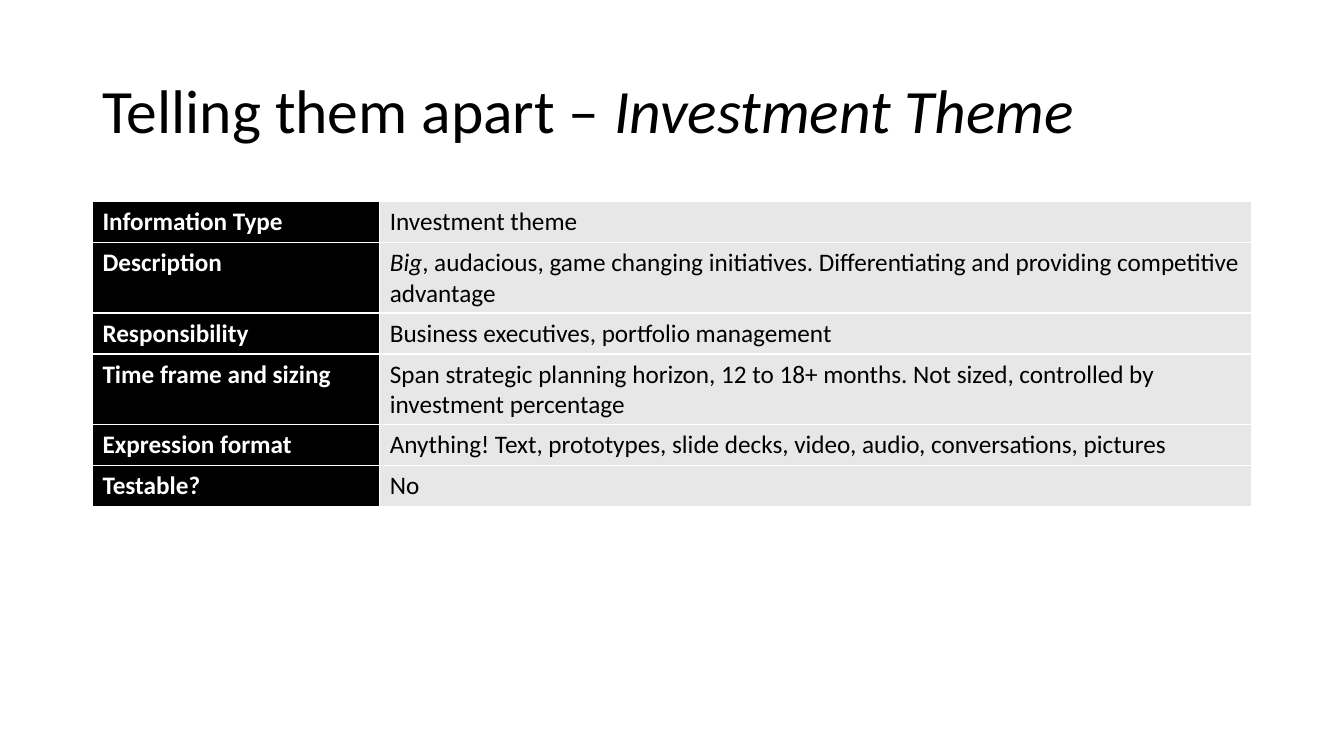
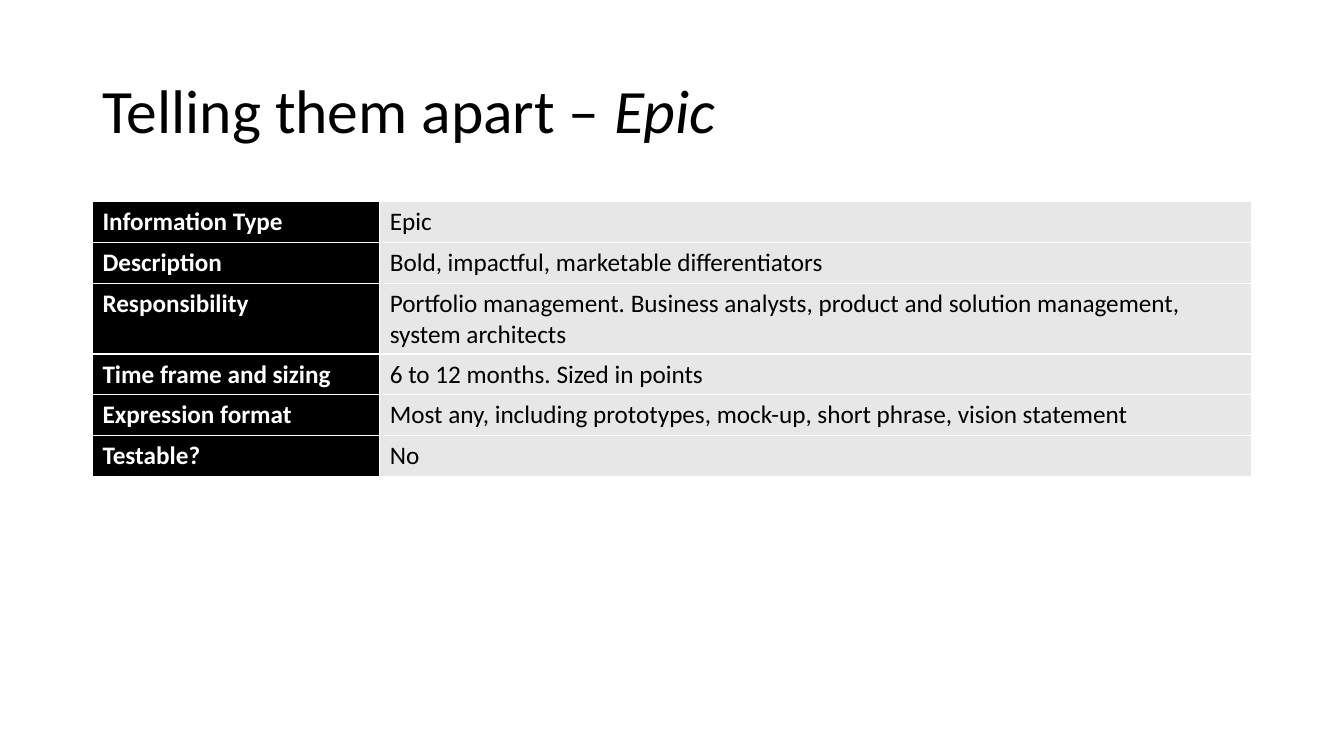
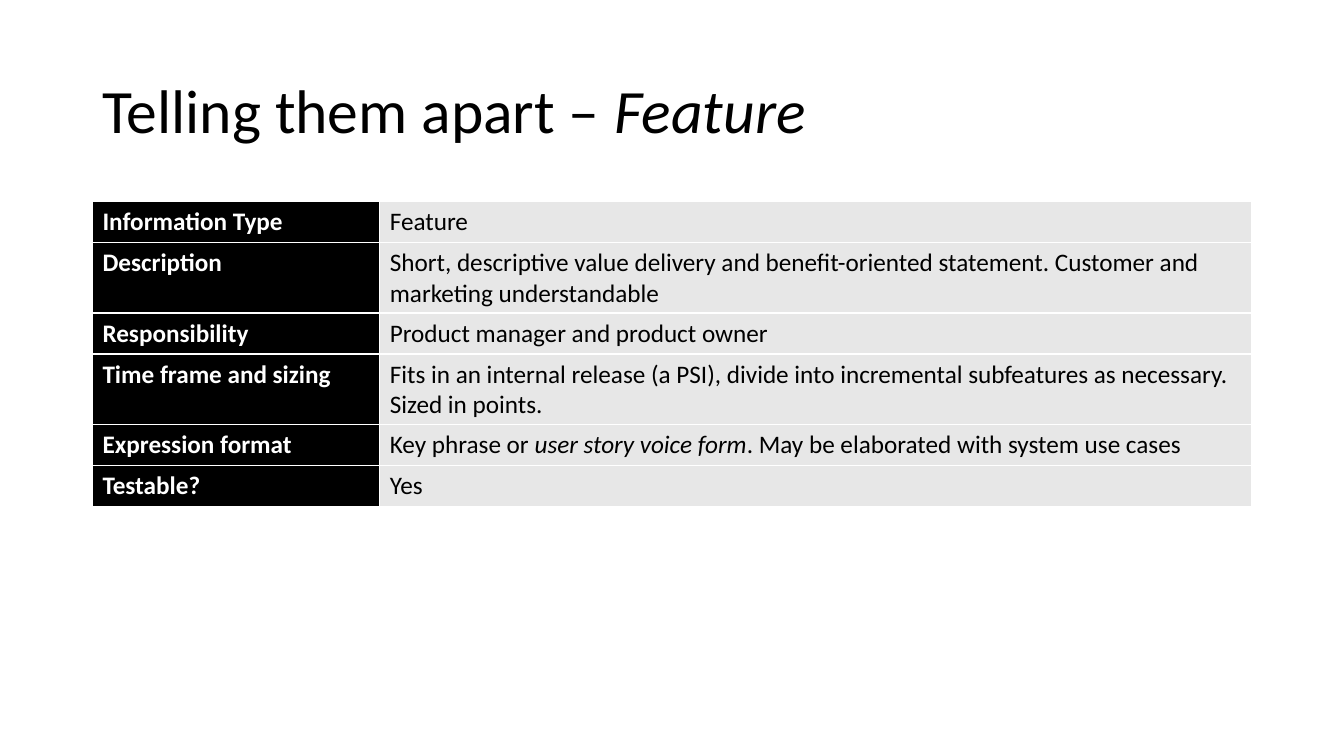
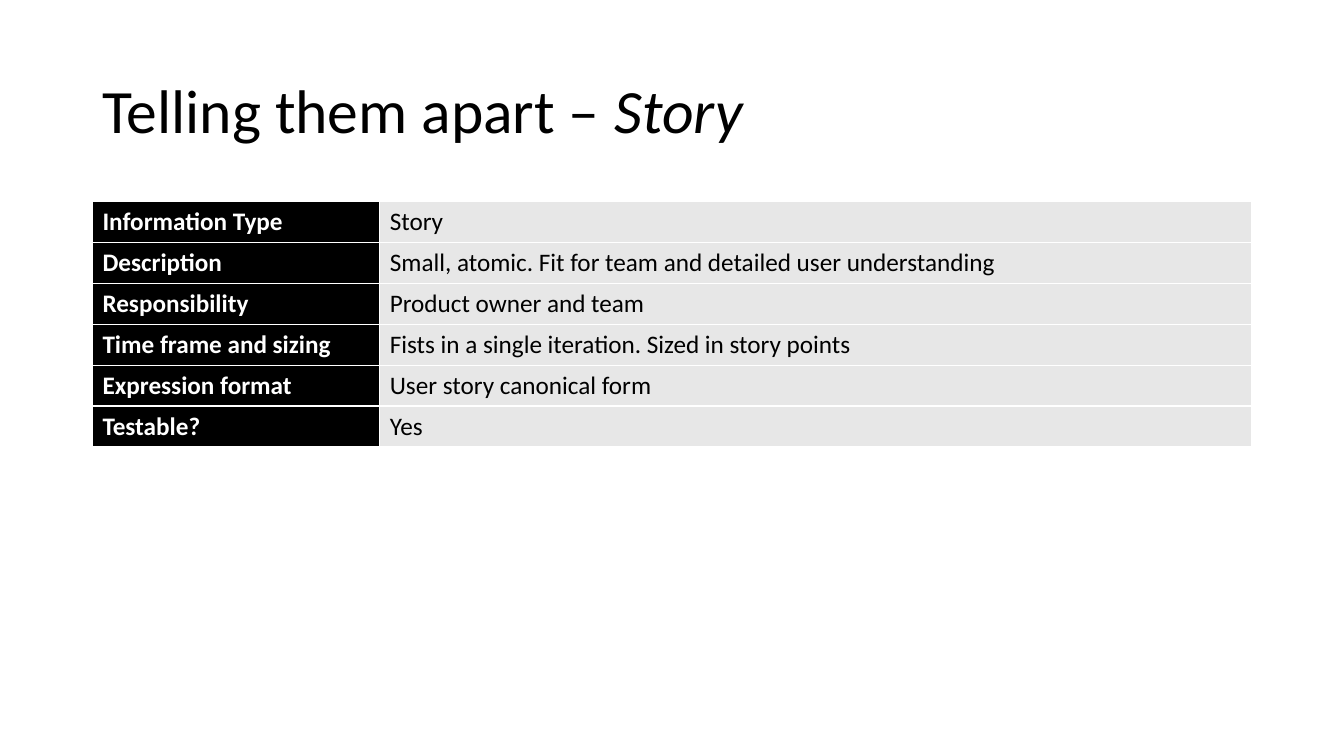
from dataclasses import dataclass

from lxml import etree
from pptx import Presentation
from pptx.dml.color import RGBColor
from pptx.enum.text import MSO_ANCHOR
from pptx.oxml.ns import qn
from pptx.slide import Slide
from pptx.table import _Cell
from pptx.text.text import _Paragraph
from pptx.util import Cm, Pt

MIDDLE = MSO_ANCHOR.MIDDLE
BLANK_LAYOUT = 6


@dataclass(frozen=True)
class Theme:
    font: str = "Calibri"
    title_size: Pt = Pt(44)
    body_size: Pt = Pt(18)
    text: RGBColor = RGBColor(0x00, 0x00, 0x00)
    label_text: RGBColor = RGBColor(0xFF, 0xFF, 0xFF)
    label_fill: RGBColor = RGBColor(0x00, 0x00, 0x00)
    value_fill: RGBColor = RGBColor(0xE7, 0xE7, 0xE7)
    border: RGBColor = RGBColor(0xFF, 0xFF, 0xFF)
    border_width: Pt = Pt(1)


@dataclass(frozen=True)
class Span:
    text: str
    italic: bool = False


@dataclass(frozen=True)
class InfoType:
    """One kind of information; values follow the order of LABELS."""
    name: str
    values: tuple[tuple[Span, ...], ...]


THEME = Theme()
LEFT = Cm(2.33)
TITLE_TOP, TITLE_HEIGHT = Cm(1.01), Cm(3.68)
TABLE_TOP, ROW_HEIGHT = Cm(5.08), Cm(1.03)
COLUMN_WIDTHS = (Cm(7.24), Cm(21.97))
CONTENT_WIDTH = sum(COLUMN_WIDTHS)

LABELS = (
    "Information Type",
    "Description",
    "Responsibility",
    "Time frame and sizing",
    "Expression format",
    "Testable?",
)

INFO_TYPES = (
    InfoType("Investment Theme", (
        (Span("Investment theme"),),
        (Span("Big", italic=True),
         Span(", audacious, game changing initiatives. "
              "Differentiating and providing competitive advantage")),
        (Span("Business executives, portfolio management"),),
        (Span("Span strategic planning horizon, 12 to 18+ months. "
              "Not sized, controlled by investment percentage"),),
        (Span("Anything! Text, prototypes, slide decks, video, audio, "
              "conversations, pictures"),),
        (Span("No"),),
    )),
    InfoType("Epic", (
        (Span("Epic"),),
        (Span("Bold, impactful, marketable differentiators"),),
        (Span("Portfolio management. Business analysts, product and "
              "solution management, system architects"),),
        (Span("6 to 12 months. Sized in points"),),
        (Span("Most any, including prototypes, mock-up, short phrase, "
              "vision statement"),),
        (Span("No"),),
    )),
    InfoType("Feature", (
        (Span("Feature"),),
        (Span("Short, descriptive value delivery and benefit-oriented "
              "statement. Customer and marketing understandable"),),
        (Span("Product manager and product owner"),),
        (Span("Fits in an internal release (a PSI), divide into incremental "
              "subfeatures as necessary. Sized in points."),),
        (Span("Key phrase or "),
         Span("user story voice form", italic=True),
         Span(". May be elaborated with system use cases")),
        (Span("Yes"),),
    )),
    InfoType("Story", (
        (Span("Story"),),
        (Span("Small, atomic. Fit for team and detailed user understanding"),),
        (Span("Product owner and team"),),
        (Span("Fists in a single iteration. Sized in story points"),),
        (Span("User story canonical form"),),
        (Span("Yes"),),
    )),
)


def add_runs(p: _Paragraph, spans: tuple[Span, ...], size: Pt,
             color: RGBColor, bold: bool = False) -> None:
    for span in spans:
        r = p.add_run()
        r.text = span.text
        r.font.name = THEME.font
        r.font.size = size
        r.font.color.rgb = color
        r.font.bold = bold
        r.font.italic = span.italic


def add_title(s: Slide, name: str) -> None:
    sp = s.shapes.add_textbox(LEFT, TITLE_TOP, CONTENT_WIDTH, TITLE_HEIGHT)
    tf = sp.text_frame
    tf.word_wrap = True
    tf.vertical_anchor = MIDDLE
    p = tf.paragraphs[0]
    p.line_spacing = 0.9
    spans = (Span("Telling them apart – "), Span(name, italic=True))
    add_runs(p, spans, THEME.title_size, THEME.text)


def add_borders(cell: _Cell) -> None:
    """Line all four sides; call before filling, as the schema puts lines first."""
    tc_pr = cell._tc.get_or_add_tcPr()
    for side in ("a:lnL", "a:lnR", "a:lnT", "a:lnB"):
        ln = etree.SubElement(tc_pr, qn(side), w=str(THEME.border_width))
        fill = etree.SubElement(ln, qn("a:solidFill"))
        etree.SubElement(fill, qn("a:srgbClr"), val=str(THEME.border))


def style_cell(cell: _Cell, fill: RGBColor) -> None:
    add_borders(cell)
    cell.fill.solid()
    cell.fill.fore_color.rgb = fill


def add_info_table(s: Slide, info: InfoType) -> None:
    table = s.shapes.add_table(
        len(LABELS), len(COLUMN_WIDTHS), LEFT, TABLE_TOP,
        CONTENT_WIDTH, ROW_HEIGHT * len(LABELS)).table
    table.first_row = False
    table.horz_banding = False
    table.first_col = True
    for column, width in zip(table.columns, COLUMN_WIDTHS):
        column.width = width
    for row, label, value in zip(table.rows, LABELS, info.values):
        row.height = ROW_HEIGHT
        label_cell, value_cell = row.cells
        style_cell(label_cell, THEME.label_fill)
        add_runs(label_cell.text_frame.paragraphs[0], (Span(label),),
                 THEME.body_size, THEME.label_text, bold=True)
        style_cell(value_cell, THEME.value_fill)
        add_runs(value_cell.text_frame.paragraphs[0], value,
                 THEME.body_size, THEME.text)


def main() -> None:
    prs = Presentation()
    prs.slide_width, prs.slide_height = Cm(33.87), Cm(19.05)
    for info in INFO_TYPES:
        s = prs.slides.add_slide(prs.slide_layouts[BLANK_LAYOUT])
        add_title(s, info.name)
        add_info_table(s, info)
    prs.save("out.pptx")


if __name__ == "__main__":
    main()
